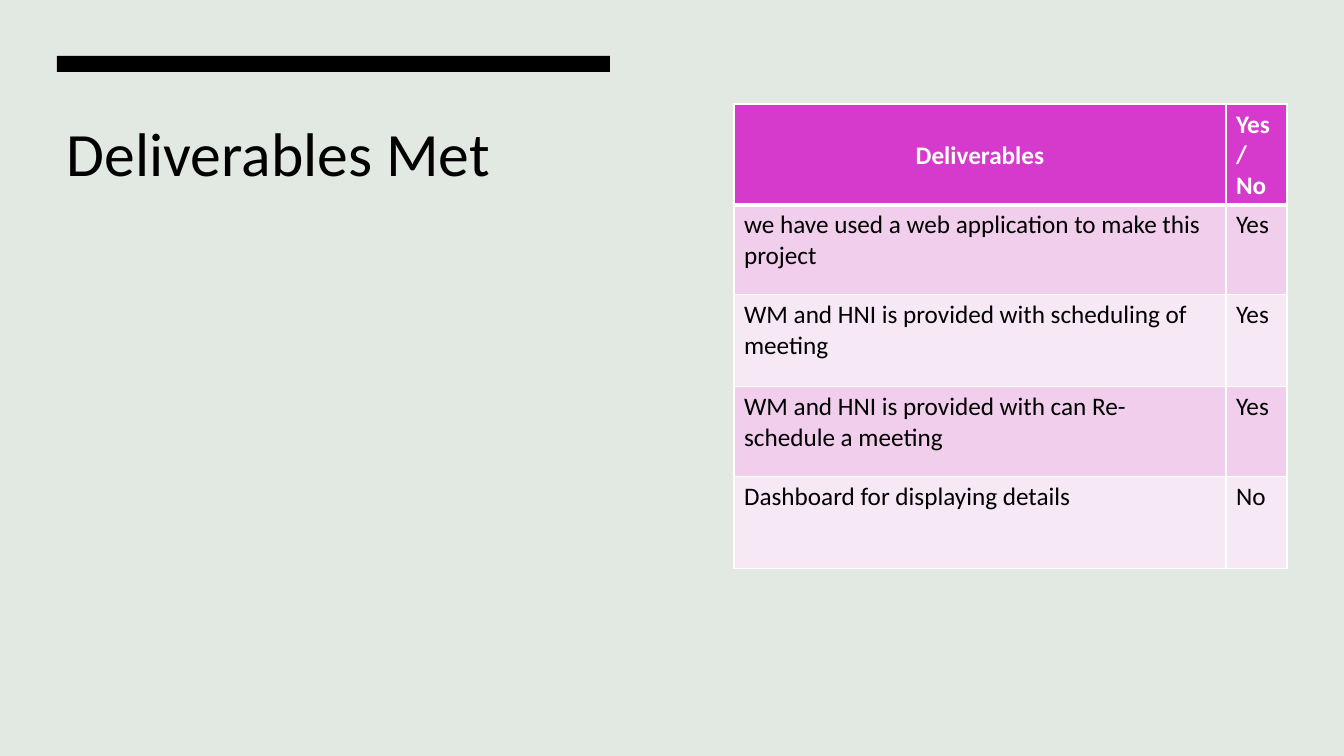
from lxml import etree
from pptx import Presentation
from pptx.dml.color import RGBColor
from pptx.enum.shapes import MSO_SHAPE
from pptx.enum.text import MSO_ANCHOR, PP_ALIGN
from pptx.oxml.ns import qn
from pptx.util import Pt

RECTANGLE = MSO_SHAPE.RECTANGLE
TOP = MSO_ANCHOR.TOP
CENTER = PP_ALIGN.CENTER
LEFT = PP_ALIGN.LEFT

EMU_PER_PX = 914400 / 100.8
FONT = "Calibri"
BLACK = "000000"
WHITE = "FFFFFF"
HEADER_FILL = "D63ACC"
BAND_FILLS = ["F0CEEC", "F7E8F6"]

DELIVERABLES = [
    ("Deliverables", "Yes/No"),
    ("we have used a web application to make this project", "Yes"),
    ("WM and HNI is provided with scheduling of meeting", "Yes"),
    ("WM and HNI is provided with can Re-schedule a meeting", "Yes"),
    ("Dashboard for displaying details", "No"),
]
COLUMN_WIDTHS = [492, 61]
ROW_HEIGHTS = [92, 90, 92, 90, 92]


def px(length):
    return round(length * EMU_PER_PX)


def color(hex_string):
    return RGBColor.from_string(hex_string)


def set_fill(target, hex_string):
    target.fill.solid()
    target.fill.fore_color.rgb = color(hex_string)


def style_paragraph(paragraph, size, hex_string, bold=False, align=LEFT):
    paragraph.alignment = align
    paragraph.font.name = FONT
    paragraph.font.size = Pt(size)
    paragraph.font.bold = bold
    paragraph.font.color.rgb = color(hex_string)


def set_borders(cell, bottom_width, top_width):
    properties = cell._tc.get_or_add_tcPr()
    widths = {"a:lnL": 1, "a:lnR": 1, "a:lnT": top_width, "a:lnB": bottom_width}
    for position, (side, width) in enumerate(widths.items()):
        line = etree.Element(qn(side), w=str(Pt(width)))
        solid = etree.SubElement(line, qn("a:solidFill"))
        etree.SubElement(solid, qn("a:srgbClr"), val=WHITE)
        properties.insert(position, line)


def add_accent_bar(slide, left, top, width, height):
    bar = slide.shapes.add_shape(RECTANGLE, px(left), px(top), px(width), px(height))
    bar.shadow.inherit = False
    set_fill(bar, BLACK)
    bar.line.fill.background()


def add_title(slide, left, top, width, height):
    title = slide.shapes.add_textbox(px(left), px(top), px(width), px(height))
    frame = title.text_frame
    frame.word_wrap = True
    frame.vertical_anchor = TOP
    frame.margin_top = px(7)
    frame.text = "Deliverables Met"
    style_paragraph(frame.paragraphs[0], 44, BLACK)


def add_deliverables_table(slide, left, top):
    frame = slide.shapes.add_table(
        len(DELIVERABLES), len(COLUMN_WIDTHS), px(left), px(top),
        px(sum(COLUMN_WIDTHS)), px(sum(ROW_HEIGHTS)))
    table = frame.table
    for column, width in zip(table.columns, COLUMN_WIDTHS):
        column.width = px(width)
    for row, height in zip(table.rows, ROW_HEIGHTS):
        row.height = px(height)

    for row_index, entries in enumerate(DELIVERABLES):
        is_header = row_index == 0
        row_fill = HEADER_FILL if is_header else BAND_FILLS[(row_index - 1) % 2]
        for column_index, entry in enumerate(entries):
            cell = table.cell(row_index, column_index)
            cell.text = entry
            set_fill(cell, row_fill)
            set_borders(cell, 3 if is_header else 1, 3 if row_index == 1 else 1)
            style_paragraph(cell.text_frame.paragraphs[0], 18,
                            WHITE if is_header else BLACK, is_header)

    heading = table.cell(0, 0)
    heading.margin_top = px(36)
    heading.text_frame.paragraphs[0].alignment = CENTER


def main():
    presentation = Presentation()
    presentation.slide_width = px(1344)
    presentation.slide_height = px(756)
    slide = presentation.slides.add_slide(presentation.slide_layouts[6])
    set_fill(slide.background, "E2E8E2")
    add_accent_bar(slide, 57, 56, 553, 16)
    add_title(slide, 57, 108, 553, 537)
    add_deliverables_table(slide, 734, 104)
    presentation.save("out.pptx")


if __name__ == "__main__":
    main()
